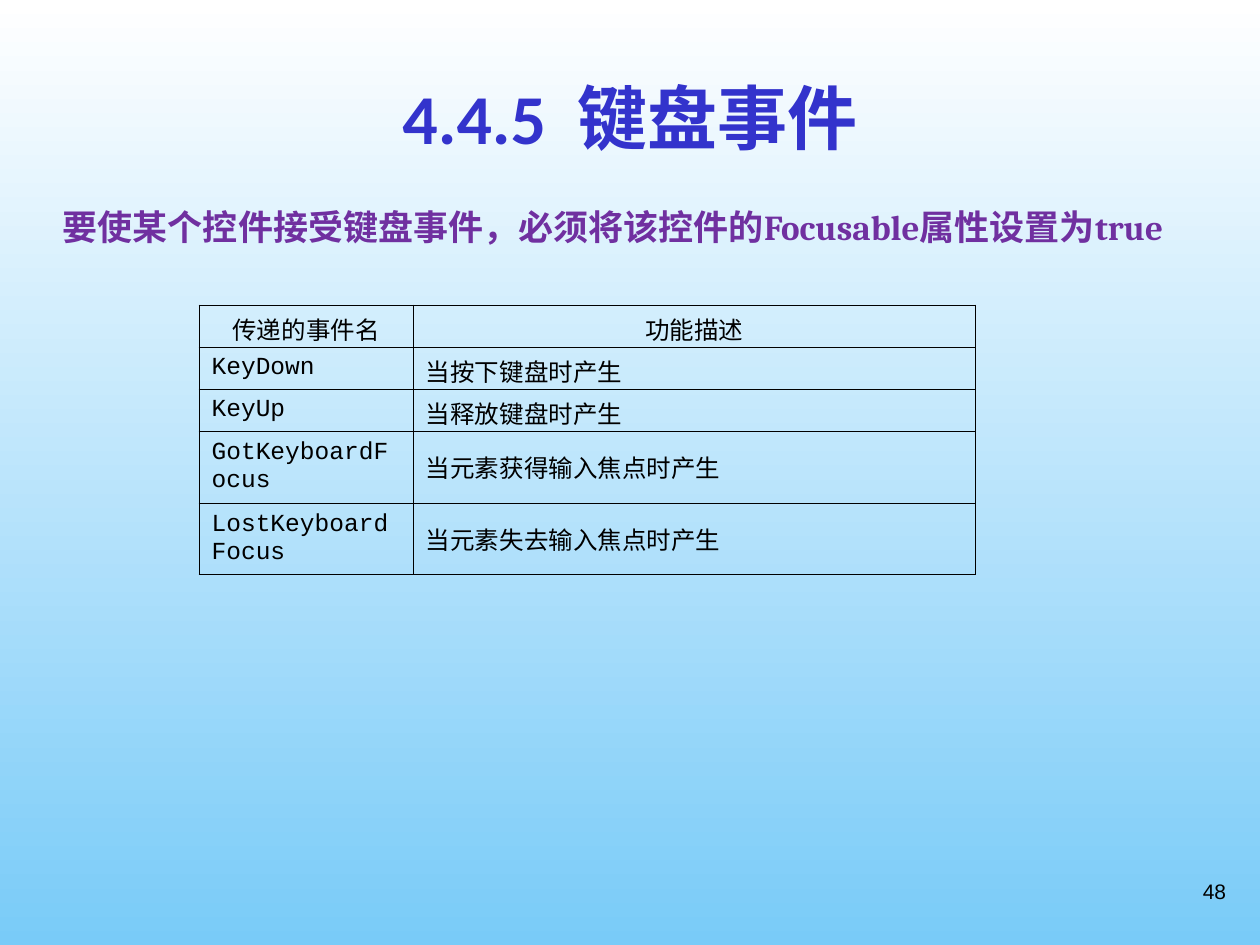
"""Build the keyboard events slide: a heading, one requirement and an event table."""
from dataclasses import dataclass

import lxml.etree
import pptx
import pptx.dml.color
import pptx.enum.text
import pptx.oxml.ns
import pptx.util

Inches = pptx.util.Inches
Pt = pptx.util.Pt
ALIGN = pptx.enum.text.PP_ALIGN
MIDDLE = pptx.enum.text.MSO_ANCHOR.MIDDLE
TOP = pptx.enum.text.MSO_ANCHOR.TOP
qn = pptx.oxml.ns.qn

HEADING = "4.4.5  键盘事件"
REQUIREMENT = "要使某个控件接受键盘事件，必须将该控件的Focusable属性设置为true"
PAGE_NUMBER = "48"
EVENTS = [
    ("传递的事件名", "功能描述"),
    ("KeyDown", "当按下键盘时产生"),
    ("KeyUp", "当释放键盘时产生"),
    ("GotKeyboardFocus", "当元素获得输入焦点时产生"),
    ("LostKeyboardFocus", "当元素失去输入焦点时产生"),
]

SLIDE_SIZE = (10, 7.5)
HEADING_BOX = (0.25, 0.3, 9.5, 1.25)
REQUIREMENT_BOX = (0.4, 1.55, 9.18, 0.5)
PAGE_NUMBER_BOX = (7.5, 6.92, 2.33, 0.5)
TABLE_ORIGIN = (1.58, 2.42)
COLUMN_WIDTHS = (1.7, 4.46)
ROW_HEIGHTS = (0.33, 0.33, 0.33, 0.57, 0.57)


@dataclass(frozen=True)
class Style:
    font: str
    size: int
    color: str
    bold: bool = False


@dataclass(frozen=True)
class Theme:
    sky: tuple = ("FFFFFF", "79CBF8")
    border: str = "000000"
    border_width: float = 0.45
    heading: Style = Style("Calibri", 40, "3333CC", True)
    requirement: Style = Style("Cambria", 20, "7030A0", True)
    page_number: Style = Style("Arial", 12, "000000")
    cell: Style = Style("Arial", 14, "000000")
    event_name: Style = Style("Courier New", 14, "000000")


THEME = Theme()


def rgb(value):
    return pptx.dml.color.RGBColor.from_string(value)


def write(frame, text, style, align, anchor):
    frame.word_wrap = True
    frame.vertical_anchor = anchor
    paragraph = frame.paragraphs[0]
    paragraph.text = text
    paragraph.alignment = align
    font = paragraph.font
    font.name, font.size, font.bold = style.font, Pt(style.size), style.bold
    font.color.rgb = rgb(style.color)


def add_text(slide, box, text, style, align, anchor):
    frame = slide.shapes.add_textbox(*map(Inches, box)).text_frame
    write(frame, text, style, align, anchor)


def outline(cell):
    properties = cell._tc.get_or_add_tcPr()
    for index, side in enumerate(("a:lnL", "a:lnR", "a:lnT", "a:lnB")):
        line = lxml.etree.Element(qn(side), w=str(Pt(THEME.border_width)))
        fill = lxml.etree.SubElement(line, qn("a:solidFill"))
        lxml.etree.SubElement(fill, qn("a:srgbClr"), val=THEME.border)
        properties.insert(index, line)


def add_events(slide):
    extent = (sum(COLUMN_WIDTHS), sum(ROW_HEIGHTS))
    table = slide.shapes.add_table(
        len(EVENTS), len(COLUMN_WIDTHS), *map(Inches, TABLE_ORIGIN + extent)
    ).table
    table.first_row = table.horz_banding = False
    for column, width in zip(table.columns, COLUMN_WIDTHS):
        column.width = Inches(width)
    for r, (event, height) in enumerate(zip(EVENTS, ROW_HEIGHTS)):
        table.rows[r].height = Inches(height)
        align = ALIGN.LEFT if r else ALIGN.CENTER
        for c, text in enumerate(event):
            cell = table.cell(r, c)
            style = THEME.event_name if r and c == 0 else THEME.cell
            write(cell.text_frame, text, style, align, None)
            cell.vertical_anchor = MIDDLE
            cell.fill.background()
            outline(cell)


def main():
    deck = pptx.Presentation()
    deck.slide_width, deck.slide_height = map(Inches, SLIDE_SIZE)
    slide = deck.slides.add_slide(deck.slide_layouts[5])

    sky = slide.background.fill
    sky.gradient()
    sky.gradient_angle = 270
    for position, (stop, color) in enumerate(zip(sky.gradient_stops, THEME.sky)):
        stop.position = position
        stop.color.rgb = rgb(color)

    heading = slide.shapes.title
    heading.left, heading.top, heading.width, heading.height = map(Inches, HEADING_BOX)
    write(heading.text_frame, HEADING, THEME.heading, ALIGN.CENTER, MIDDLE)
    add_text(slide, REQUIREMENT_BOX, REQUIREMENT, THEME.requirement, ALIGN.LEFT, MIDDLE)
    add_events(slide)
    add_text(slide, PAGE_NUMBER_BOX, PAGE_NUMBER, THEME.page_number, ALIGN.RIGHT, TOP)
    deck.save("out.pptx")


if __name__ == "__main__":
    main()
